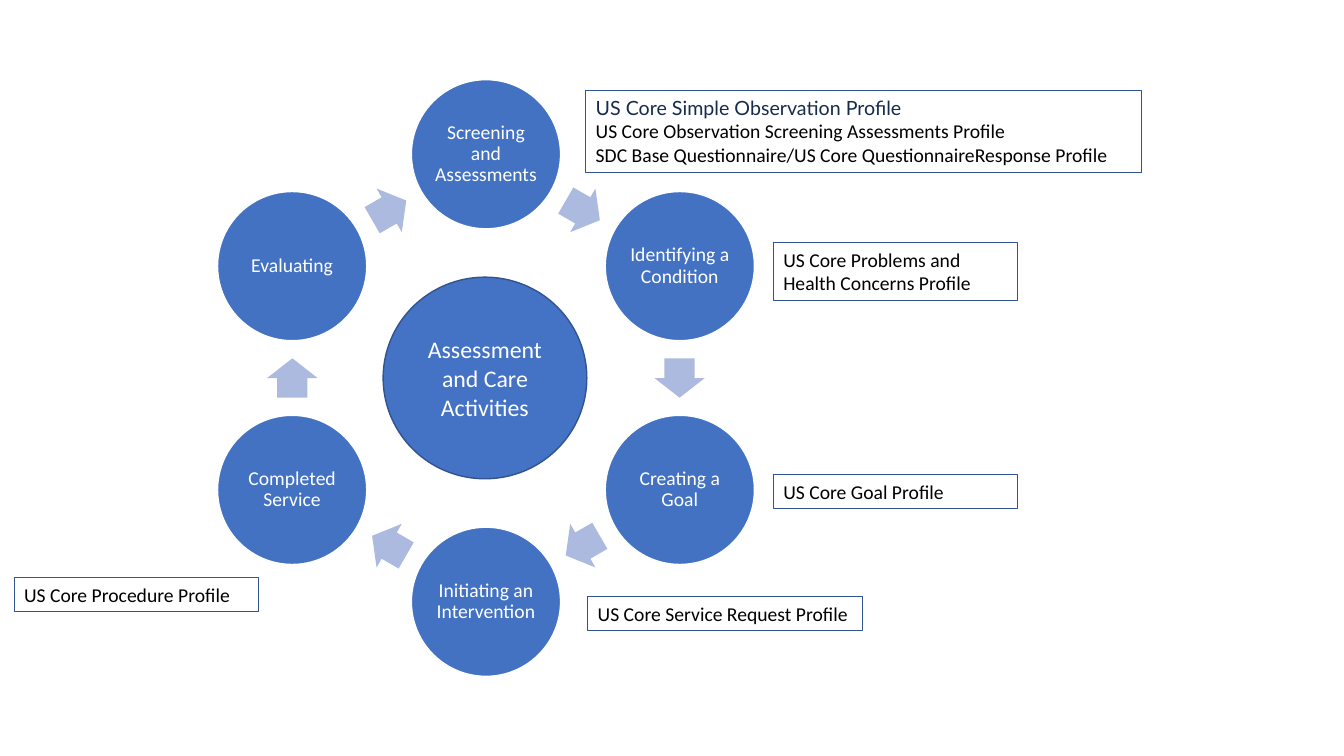
import math
from dataclasses import dataclass

import pptx
import pptx.dml.color
import pptx.enum.shapes
import pptx.enum.text
import pptx.util

Inches = pptx.util.Inches
Pt = pptx.util.Pt
RGBColor = pptx.dml.color.RGBColor
MSO_SHAPE = pptx.enum.shapes.MSO_SHAPE
MSO_ANCHOR = pptx.enum.text.MSO_ANCHOR
MSO_AUTO_SIZE = pptx.enum.text.MSO_AUTO_SIZE
PP_ALIGN = pptx.enum.text.PP_ALIGN

WHITE = RGBColor(0xFF, 0xFF, 0xFF)
BLACK = RGBColor(0x00, 0x00, 0x00)
STEP_BLUE = RGBColor(0x43, 0x72, 0xC3)
HUB_BLUE = RGBColor(0x44, 0x72, 0xC4)
OUTLINE_BLUE = RGBColor(0x31, 0x53, 0x8F)
ARROW_BLUE = RGBColor(0xAB, 0xBA, 0xDE)
HEADING_NAVY = RGBColor(0x17, 0x2B, 0x4D)

# Ring geometry, in inches
CENTER_X, CENTER_Y = 4.82, 3.75
STEP_RADIUS, STEP_SIZE = 2.22, 1.48
ARROW_RADIUS, ARROW_WIDTH, ARROW_HEIGHT = 1.92, 0.39, 0.5

STEPS = [
    "Screening and Assessments",
    "Identifying a Condition",
    "Creating a Goal",
    "Initiating an Intervention",
    "Completed Service",
    "Evaluating",
]


@dataclass
class Line:
    text: str
    font: str = "Calibri"
    size: float = 14
    color: RGBColor = BLACK


@dataclass
class Callout:
    left: float
    top: float
    width: float
    height: float
    lines: list[Line]


CALLOUTS = [
    Callout(5.81, 0.9, 5.51, 0.81, [
        Line("US Core Simple Observation Profile", "Lato", color=HEADING_NAVY),
        Line("US Core Observation Screening Assessments Profile"),
        Line("SDC Base Questionnaire/US Core QuestionnaireResponse Profile"),
    ]),
    Callout(7.67, 2.41, 2.42, 0.57, [Line("US Core Problems and Health Concerns Profile")]),
    Callout(7.67, 4.71, 2.42, 0.34, [Line("US Core Goal Profile")]),
    Callout(5.83, 5.92, 2.73, 0.34, [Line("US Core Service Request Profile")]),
    Callout(0.14, 5.73, 2.42, 0.34, [Line("US Core Procedure Profile")]),
]


def add_shape(slide, kind: int, left: float, top: float, width: float, height: float,
              fill: RGBColor | None, line: RGBColor | None, line_width: float = 1):
    shape = slide.shapes.add_shape(kind, Inches(left), Inches(top), Inches(width), Inches(height))
    shape.shadow.inherit = False
    if fill is None:
        shape.fill.background()
    else:
        shape.fill.solid()
        shape.fill.fore_color.rgb = fill
    if line is None:
        shape.line.fill.background()
    else:
        shape.line.color.rgb = line
        shape.line.width = Pt(line_width)
    return shape


def write_lines(shape, lines: list[Line], alignment: int, anchor: int,
                spacing: float = 1.0) -> None:
    frame = shape.text_frame
    frame.word_wrap = True
    frame.vertical_anchor = anchor
    for index, line in enumerate(lines):
        paragraph = frame.add_paragraph() if index else frame.paragraphs[0]
        paragraph.text = line.text
        paragraph.alignment = alignment
        paragraph.line_spacing = spacing
        paragraph.font.name = line.font
        paragraph.font.size = Pt(line.size)
        paragraph.font.color.rgb = line.color


def ring_point(radius: float, degrees: float) -> tuple[float, float]:
    angle = math.radians(degrees)
    return CENTER_X + radius * math.cos(angle), CENTER_Y + radius * math.sin(angle)


def add_step(slide, text: str, degrees: float) -> None:
    x, y = ring_point(STEP_RADIUS, degrees)
    circle = add_shape(slide, MSO_SHAPE.OVAL, x - STEP_SIZE / 2, y - STEP_SIZE / 2,
                       STEP_SIZE, STEP_SIZE, STEP_BLUE, WHITE)
    frame = circle.text_frame
    frame.margin_left = frame.margin_right = 0
    frame.margin_top = frame.margin_bottom = Inches(0.02)
    write_lines(circle, [Line(text, color=WHITE)], PP_ALIGN.CENTER, MSO_ANCHOR.MIDDLE, 0.9)


def add_arrow(slide, degrees: float) -> None:
    x, y = ring_point(ARROW_RADIUS, degrees)
    arrow = add_shape(slide, MSO_SHAPE.RIGHT_ARROW, x - ARROW_WIDTH / 2, y - ARROW_HEIGHT / 2,
                      ARROW_WIDTH, ARROW_HEIGHT, ARROW_BLUE, None)
    arrow.adjustments[0] = 0.6
    arrow.adjustments[1] = 0.5
    arrow.rotation = degrees + 90


def add_callout(slide, callout: Callout) -> None:
    box = add_shape(slide, MSO_SHAPE.RECTANGLE, callout.left, callout.top,
                    callout.width, callout.height, None, OUTLINE_BLUE, 0.75)
    write_lines(box, callout.lines, PP_ALIGN.LEFT, MSO_ANCHOR.TOP)
    box.text_frame.auto_size = MSO_AUTO_SIZE.SHAPE_TO_FIT_TEXT


def main() -> None:
    presentation = pptx.Presentation()
    presentation.slide_width = Inches(13.33)
    presentation.slide_height = Inches(7.5)
    slide = presentation.slides.add_slide(presentation.slide_layouts[6])

    # Cycle of steps, clockwise from the top, each followed by an arrow
    sector = 360 / len(STEPS)
    for index, text in enumerate(STEPS):
        degrees = index * sector - 90
        add_step(slide, text, degrees)
        add_arrow(slide, degrees + sector / 2)

    # Hub
    hub = add_shape(slide, MSO_SHAPE.OVAL, 3.8, 2.75, 2.02, 2, HUB_BLUE, OUTLINE_BLUE)
    hub_lines = [Line(text, size=17, color=WHITE) for text in ("Assessment and Care", "Activities")]
    write_lines(hub, hub_lines, PP_ALIGN.CENTER, MSO_ANCHOR.MIDDLE)

    # Profile callouts
    for callout in CALLOUTS:
        add_callout(slide, callout)

    presentation.save("out.pptx")


if __name__ == "__main__":
    main()
